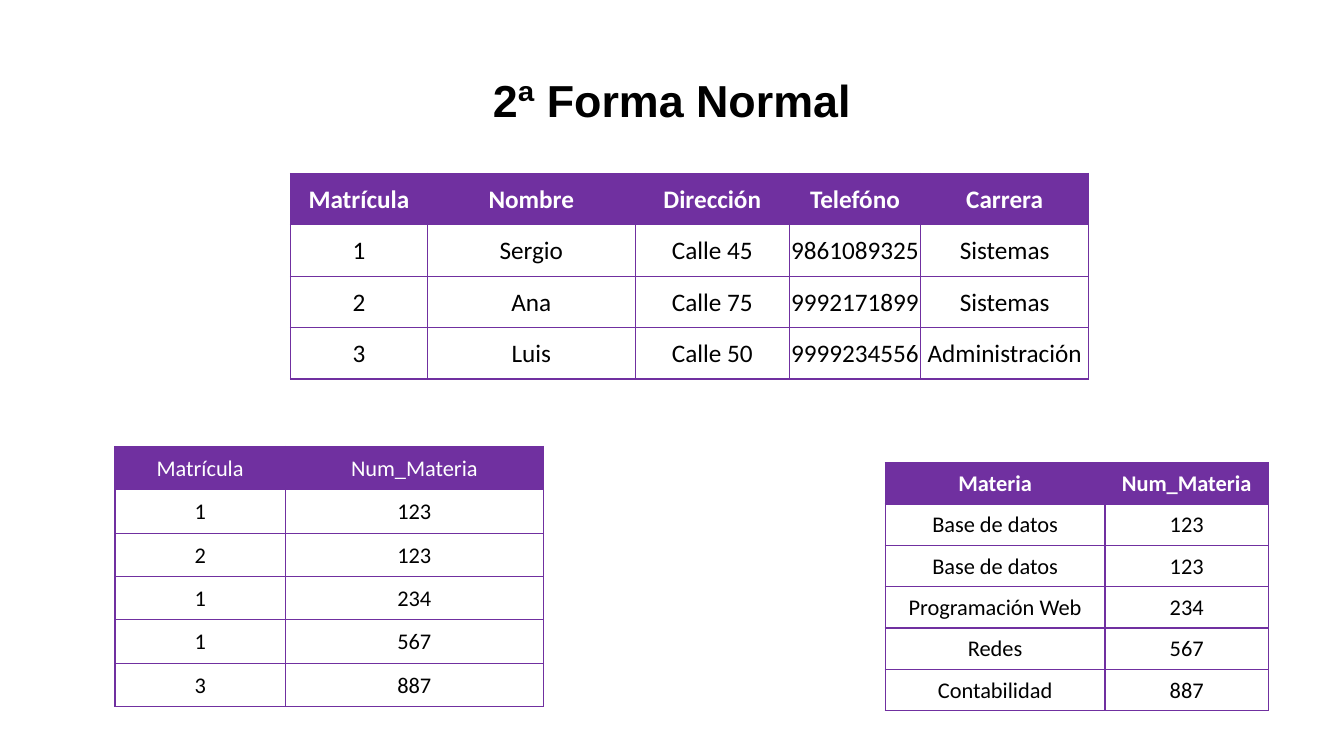
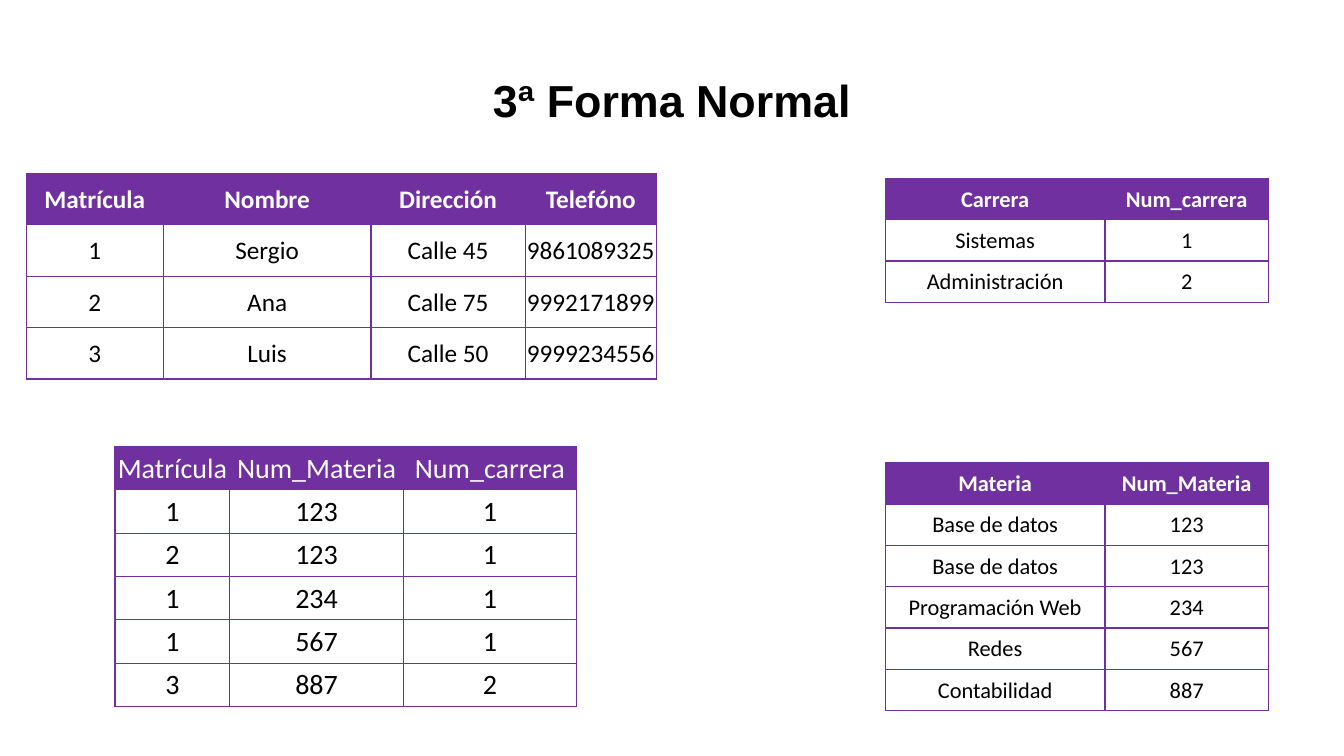
import pptx
import pptx.dml.color
import pptx.enum.text
import pptx.oxml
import pptx.oxml.ns
import pptx.util

Inches, Pt = pptx.util.Inches, pptx.util.Pt
RGBColor = pptx.dml.color.RGBColor
CENTER = pptx.enum.text.PP_ALIGN.CENTER
MIDDLE = pptx.enum.text.MSO_ANCHOR.MIDDLE

PURPLE = RGBColor(0x70, 0x30, 0xA0)
WHITE = RGBColor(0xFF, 0xFF, 0xFF)
BLACK = RGBColor(0x00, 0x00, 0x00)

# Content: first row of each table is its header
STUDENTS = [
    ("Matrícula", "Nombre", "Dirección", "Telefóno", "Carrera"),
    ("1", "Sergio", "Calle 45", "9861089325", "Sistemas"),
    ("2", "Ana", "Calle 75", "9992171899", "Sistemas"),
    ("3", "Luis", "Calle 50", "9999234556", "Administración"),
]
ENROLMENTS = [
    ("Matrícula", "Num_Materia", "Num_carrera"),
    ("1", "123", "1"),
    ("2", "123", "1"),
    ("1", "234", "1"),
    ("1", "567", "1"),
    ("3", "887", "2"),
]
SUBJECTS = [
    ("Materia", "Num_Materia"),
    ("Base de datos", "123"),
    ("Base de datos", "123"),
    ("Programación Web", "234"),
    ("Redes", "567"),
    ("Contabilidad", "887"),
]
CAREERS = [("Carrera", "Num_carrera"), ("Sistemas", "1"), ("Administración", "2")]

# Column widths and row heights, in inches
STUDENT_COLS = [1.36, 2.06, 1.53, 1.3, 1.67]
CATALOG_COLS = [2.18, 1.62]
STUDENT_ROW, ENROLMENT_ROW, CATALOG_ROW = 0.51, 0.43, 0.41
MARGIN, ENROLMENT_LEFT, CATALOG_LEFT = 0.26, 1.14, 8.78
STUDENT_TOP, CAREER_TOP, ENROLMENT_TOP, SUBJECT_TOP = 1.72, 1.77, 4.43, 4.59


def without_last(rows):
    return [row[:-1] for row in rows]


SUBJECT_TABLE = dict(rows=SUBJECTS, left=CATALOG_LEFT, top=SUBJECT_TOP,
                     cols=CATALOG_COLS, row_height=CATALOG_ROW, size=16)

SLIDES = [
    ("2ª Forma Normal", [
        SUBJECT_TABLE,
        dict(rows=STUDENTS, left=2.88, top=STUDENT_TOP, cols=STUDENT_COLS,
             row_height=STUDENT_ROW, size=18),
        dict(rows=without_last(ENROLMENTS), left=ENROLMENT_LEFT, top=ENROLMENT_TOP,
             cols=[1.69, 2.56], row_height=ENROLMENT_ROW, size=16, bold_header=False),
    ]),
    ("3ª Forma Normal", [
        SUBJECT_TABLE,
        dict(rows=without_last(STUDENTS), left=MARGIN, top=STUDENT_TOP,
             cols=STUDENT_COLS[:-1], row_height=STUDENT_ROW, size=18),
        dict(rows=ENROLMENTS, left=ENROLMENT_LEFT, top=ENROLMENT_TOP,
             cols=[1.14, 1.72, 1.72], row_height=ENROLMENT_ROW, size=20,
             bold_header=False),
        dict(rows=CAREERS, left=CATALOG_LEFT, top=CAREER_TOP, cols=CATALOG_COLS,
             row_height=CATALOG_ROW, size=16),
    ]),
]


def style_text(paragraph, font_name, size, color, bold):
    paragraph.alignment = CENTER
    font = paragraph.font
    font.name, font.size, font.bold = font_name, Pt(size), bold
    font.color.rgb = color


def add_borders(cell):
    properties = cell._tc.get_or_add_tcPr()
    for side in "LRTB":
        properties.append(pptx.oxml.parse_xml(
            f'<a:ln{side} {pptx.oxml.ns.nsdecls("a")} w="{Pt(1)}"><a:solidFill>'
            f'<a:srgbClr val="{PURPLE}"/></a:solidFill></a:ln{side}>'))


def add_title(slide, text):
    title = slide.shapes.add_textbox(
        Inches(MARGIN), Inches(0.69), Inches(12.81), Inches(0.6)).text_frame
    title.word_wrap = True
    title.vertical_anchor = MIDDLE
    title.margin_left = title.margin_right = Inches(0.13)
    title.margin_top = title.margin_bottom = Inches(0.13)
    title.text = text
    style_text(title.paragraphs[0], "Arial", 32, BLACK, True)


def add_data_table(slide, rows, left, top, cols, row_height, size, bold_header=True):
    table = slide.shapes.add_table(
        len(rows), len(cols), Inches(left), Inches(top),
        Inches(sum(cols)), Inches(row_height * len(rows))).table
    table.horz_banding = False
    for column, width in zip(table.columns, cols):
        column.width = Inches(width)
    for r, values in enumerate(rows):
        header = r == 0
        for c, value in enumerate(values):
            cell = table.cell(r, c)
            cell.text = value
            cell.vertical_anchor = MIDDLE
            cell.margin_left = cell.margin_right = cell.margin_top = Inches(0.01)
            cell.margin_bottom = 0
            add_borders(cell)
            if header:
                cell.fill.solid()
                cell.fill.fore_color.rgb = PURPLE
            else:
                cell.fill.background()
            style_text(cell.text_frame.paragraphs[0], "Calibri", size,
                       WHITE if header else BLACK, header and bold_header)


def main():
    deck = pptx.Presentation()
    deck.slide_width, deck.slide_height = Inches(13.33), Inches(7.5)
    for title, tables in SLIDES:
        slide = deck.slides.add_slide(deck.slide_layouts[6])
        add_title(slide, title)
        for table in tables:
            add_data_table(slide, **table)
    deck.save("out.pptx")


if __name__ == "__main__":
    main()
